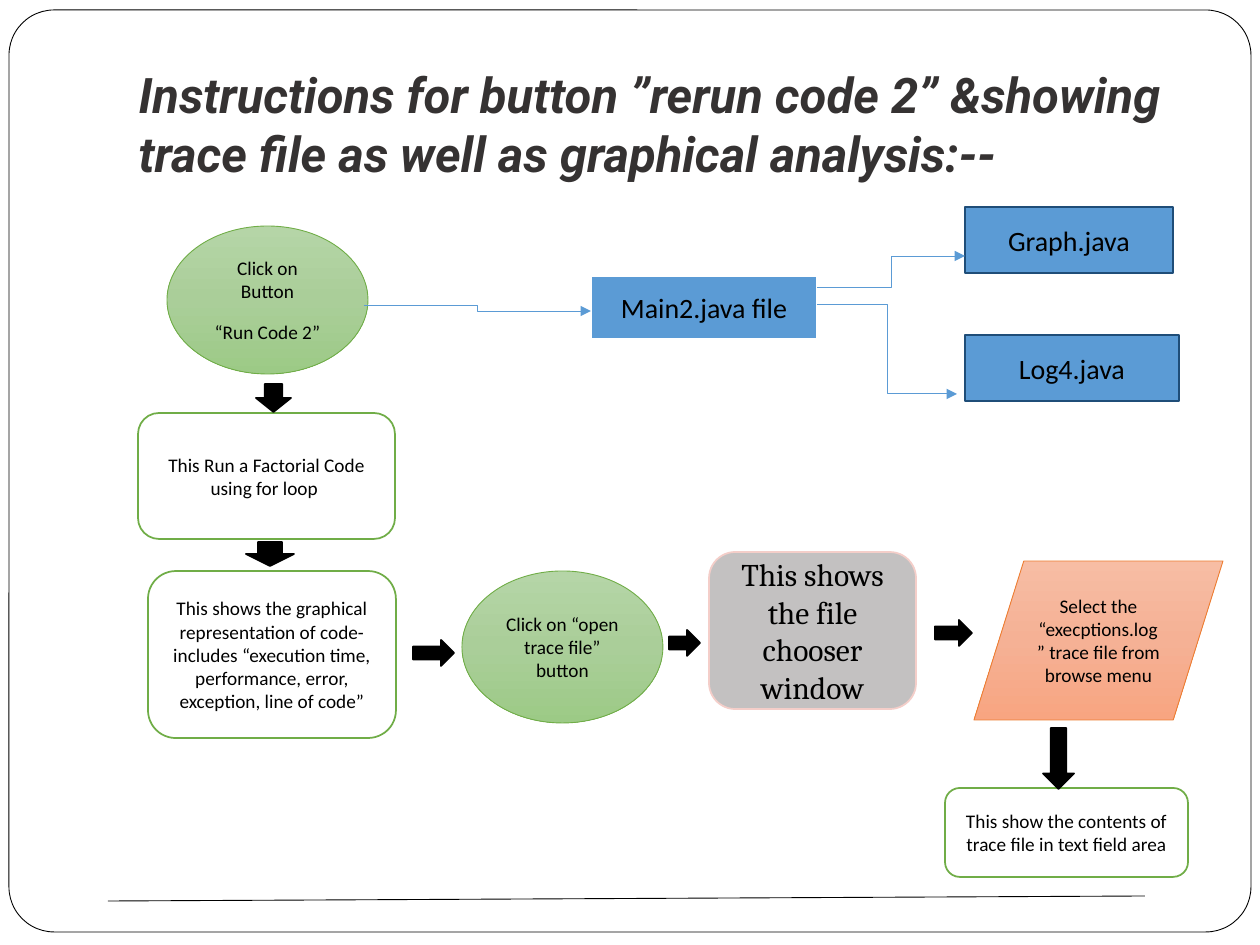
from copy import deepcopy
from dataclasses import dataclass
from typing import Optional, Union

from pptx import Presentation
from pptx.dml.color import RGBColor
from pptx.enum.shapes import MSO_CONNECTOR as Link, MSO_SHAPE as Kind
from pptx.enum.text import MSO_ANCHOR as Anchor, PP_ALIGN as Align
from pptx.oxml.ns import qn
from pptx.util import Emu, Pt

PIXEL = 914400 / 126
Fill = Union[str, tuple[str, ...]]


@dataclass(frozen=True)
class Theme:
    black: str = "000000"
    white: str = "FFFFFF"
    title: str = "353232"
    blue: str = "5B9BD5"
    navy: str = "1F4D78"
    green: str = "70AD47"
    orange: str = "ED7D31"
    gray: str = "C3C1C1"
    pink: str = "F4CEC9"
    green_fade: tuple[str, ...] = ("B5D5A7", "AACE99", "9CCA86")
    orange_fade: tuple[str, ...] = ("F7BDA4", "F5B195", "F8A581")
    title_font: str = "Roboto"
    body_font: str = "Calibri"
    window_font: str = "Cambria"
    title_size: int = 28
    window_size: int = 18
    file_size: int = 16
    step_size: int = 11


THEME = Theme()


@dataclass(frozen=True)
class Style:
    kind: Kind
    fill: Fill
    line: str
    width: float = 1
    size: int = THEME.step_size
    font: str = THEME.body_font


@dataclass(frozen=True)
class Node:
    style: Style
    left: int
    top: int
    width: int
    height: int
    lines: tuple[str, ...] = ()
    space_after: int = 0
    corner: Optional[float] = None


@dataclass(frozen=True)
class Line:
    kind: Link
    start: tuple[int, int]
    end: tuple[int, int]
    color: str
    arrow: bool = False


FRAME = Style(Kind.ROUNDED_RECTANGLE, THEME.white, THEME.black, 0.5)
STEP = Style(Kind.ROUNDED_RECTANGLE, THEME.white, THEME.green)
CLICK = Style(Kind.OVAL, THEME.green_fade, THEME.green, 0.5)
SELECT = Style(Kind.FLOWCHART_DATA, THEME.orange_fade, THEME.orange, 0.5)
WINDOW = Style(Kind.ROUNDED_RECTANGLE, THEME.gray, THEME.pink, 1,
               THEME.window_size, THEME.window_font)
MAIN = Style(Kind.RECTANGLE, THEME.blue, THEME.white, 1.5, THEME.file_size)
FILE = Style(Kind.RECTANGLE, THEME.blue, THEME.navy, 1, THEME.file_size)
DOWN = Style(Kind.DOWN_ARROW, THEME.black, THEME.black)
RIGHT = Style(Kind.RIGHT_ARROW, THEME.black, THEME.black)

BORDER = Node(FRAME, 9, 10, 1242, 922, corner=0.049)

NODES = (
    # Java files
    Node(MAIN, 591, 276, 226, 63, ("Main2.java file",)),
    Node(FILE, 965, 335, 214, 66, ("Log4.java",)),
    Node(FILE, 965, 207, 208, 66, ("Graph.java",)),
    # Steps
    Node(CLICK, 167, 226, 201, 148, ("Click on Button", "“Run Code 2”"), 10),
    Node(STEP, 138, 413, 257, 126, ("This Run a Factorial Code using for loop ",)),
    Node(STEP, 148, 571, 248, 167,
         ("This shows the graphical representation of code- includes “execution time, "
          "performance, error, exception, line of code”",)),
    Node(CLICK, 462, 571, 201, 152, ("Click on “open trace file” button",)),
    Node(WINDOW, 709, 552, 207, 157, ("This shows the file chooser window",)),
    Node(SELECT, 974, 561, 249, 159,
         ("Select the “execptions.log” trace file from browse menu",)),
    Node(STEP, 945, 788, 243, 89,
         ("This show the contents of trace file in text field area",)),
    # Block arrows between steps
    Node(DOWN, 256, 384, 35, 28),
    Node(DOWN, 246, 542, 48, 24),
    Node(RIGHT, 413, 640, 41, 26),
    Node(RIGHT, 669, 630, 31, 26),
    Node(RIGHT, 935, 620, 37, 26),
    Node(DOWN, 1043, 728, 31, 61),
)

LINES = (
    Line(Link.ELBOW, (364, 305), (591, 311), THEME.blue, True),
    Line(Link.ELBOW, (817, 287), (965, 256), THEME.blue, True),
    Line(Link.ELBOW, (817, 305), (957, 394), THEME.blue, True),
    Line(Link.STRAIGHT, (108, 901), (1145, 896), THEME.black),
)


def px(value: float) -> Emu:
    return Emu(round(value * PIXEL))


def rgb(color: str) -> RGBColor:
    return RGBColor.from_string(color)


def add_run(para, text: str, font: str, size: int, color: str, strong: bool = False) -> None:
    span = para.add_run()
    span.text = text
    span.font.name = font
    span.font.size = Pt(size)
    span.font.color.rgb = rgb(color)
    span.font.bold = span.font.italic = strong


def paint(box, fill: Fill) -> None:
    if isinstance(fill, str):
        box.fill.solid()
        box.fill.fore_color.rgb = rgb(fill)
        return
    box.fill.gradient()
    box.fill.gradient_angle = 270
    stops = box._element.spPr.find(qn("a:gradFill")).find(qn("a:gsLst"))
    stops.insert(1, deepcopy(stops[0]))
    for index, (stop, color) in enumerate(zip(box.fill.gradient_stops, fill)):
        stop.position = index / (len(fill) - 1)
        stop.color.rgb = rgb(color)


def add_node(page, node: Node) -> None:
    style = node.style
    box = page.shapes.add_shape(
        style.kind, px(node.left), px(node.top), px(node.width), px(node.height))
    box.shadow.inherit = False
    paint(box, style.fill)
    box.line.color.rgb = rgb(style.line)
    box.line.width = Pt(style.width)
    if node.corner is not None:
        box.adjustments[0] = node.corner
    frame = box.text_frame
    frame.word_wrap = True
    frame.vertical_anchor = Anchor.MIDDLE
    for index, text in enumerate(node.lines):
        para = frame.add_paragraph() if index else frame.paragraphs[0]
        para.alignment = Align.CENTER
        para.space_after = Pt(node.space_after)
        add_run(para, text, style.font, style.size, THEME.black)


def add_line(page, line: Line) -> None:
    link = page.shapes.add_connector(line.kind, *map(px, line.start + line.end))
    link.line.color.rgb = rgb(line.color)
    link.line.width = Pt(0.5)
    if line.arrow:
        stroke = link.line._get_or_add_ln()
        stroke.append(stroke.makeelement(qn("a:tailEnd"), {"type": "triangle"}))
    props = link._element.spPr
    props.append(props.makeelement(qn("a:effectLst"), {}))


def set_title(page, text: str) -> None:
    title = page.shapes.title
    title.left, title.top, title.width, title.height = map(px, (126, 38, 1071, 157))
    frame = title.text_frame
    frame.word_wrap = True
    frame.vertical_anchor = Anchor.BOTTOM
    frame.margin_left = frame.margin_right = frame.margin_bottom = Pt(7.2)
    frame.margin_top = Pt(3.6)
    para = frame.paragraphs[0]
    para.alignment = Align.LEFT
    add_run(para, text, THEME.title_font, THEME.title_size, THEME.title, True)


deck = Presentation()
deck.slide_width, deck.slide_height = px(1260), px(945)
page = deck.slides.add_slide(deck.slide_layouts[5])

# Border behind the title
add_node(page, BORDER)
tree = page.shapes._spTree
tree.append(page.shapes.title._element)
set_title(page, "Instructions for button ”rerun code 2” &showing trace file "
                "as well as graphical analysis:--")

# Flow chart
for node in NODES:
    add_node(page, node)
for line in LINES:
    add_line(page, line)

deck.save("out.pptx")
